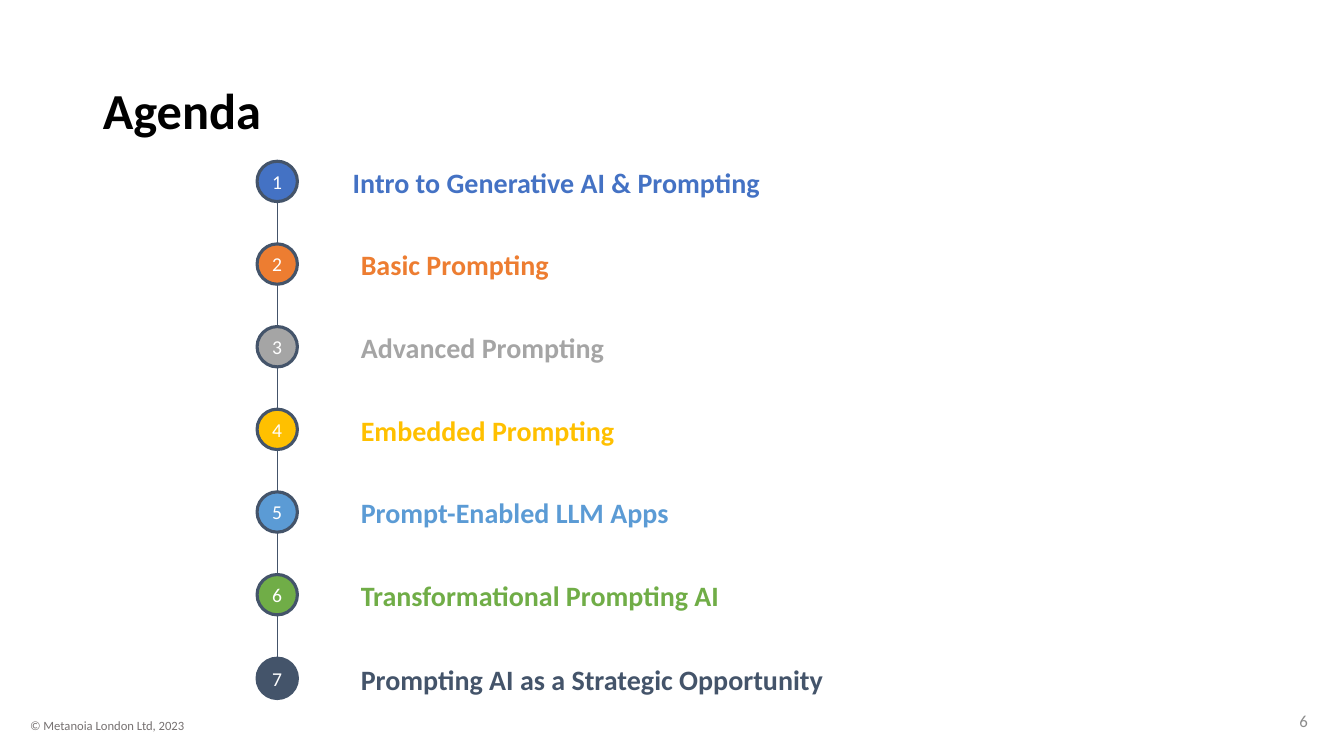
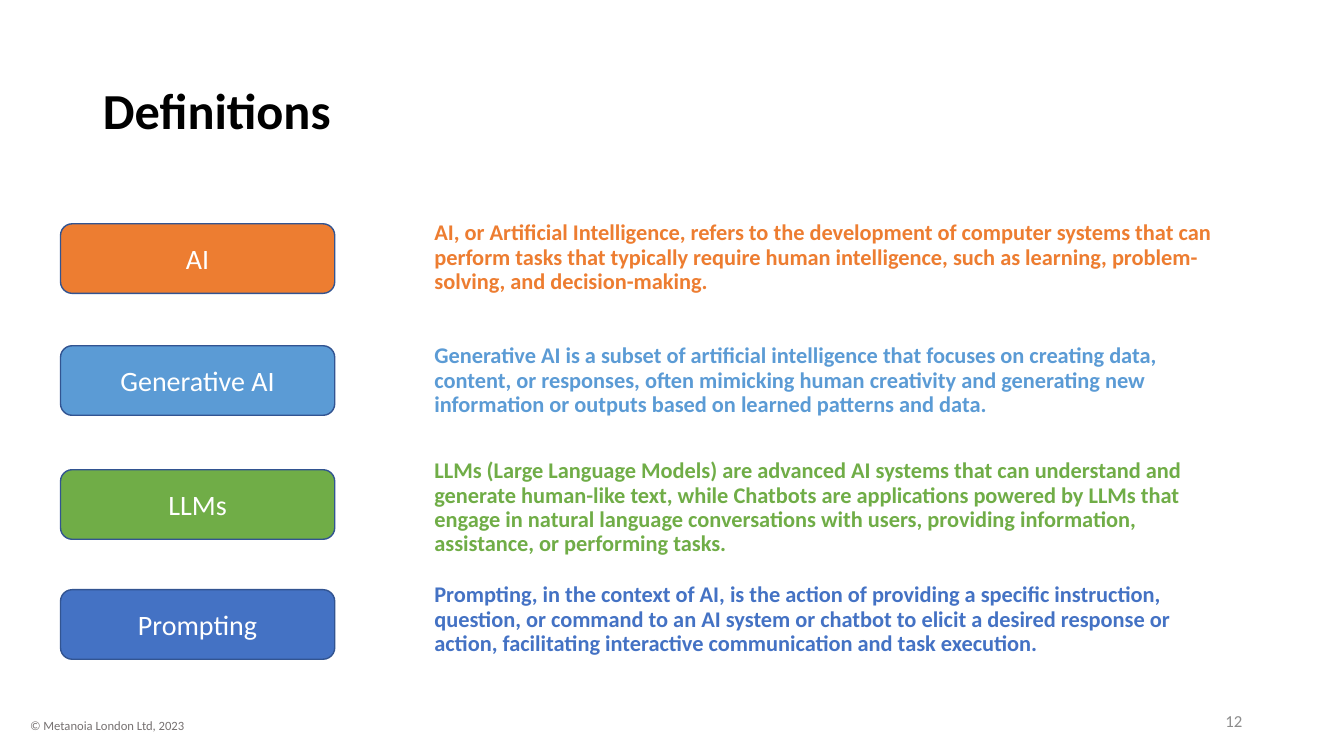
from itertools import pairwise

from lxml.etree import SubElement
from pptx import Presentation
from pptx.dml.color import RGBColor
from pptx.enum.shapes import MSO_CONNECTOR as Connector, MSO_SHAPE as Shape
from pptx.enum.text import MSO_ANCHOR as Anchor, MSO_AUTO_SIZE as Fit, PP_ALIGN as Align
from pptx.oxml.ns import qn
from pptx.util import Emu, Pt

BLACK, WHITE = "000000", "FFFFFF"
BLUE, ORANGE, GREY, GOLD = "4472C4", "ED7D31", "A5A5A5", "FFC000"
SKY, GREEN, SLATE, NAVY = "5B9BD5", "70AD47", "44546A", "325491"
FOOTER_GREY, NUMBER_GREY = "767171", "8C8C8C"

AGENDA = [
    ("Intro to Generative AI & Prompting", BLUE),
    ("Basic Prompting", ORANGE),
    ("Advanced Prompting", GREY),
    ("Embedded Prompting", GOLD),
    ("Prompt-Enabled LLM Apps", SKY),
    ("Transformational Prompting AI", GREEN),
    ("Prompting AI as a Strategic Opportunity", SLATE),
]

DEFINITIONS = [
    ("AI", ORANGE, 222, 83,
     "AI, or Artificial Intelligence, refers to the development of computer systems that "
     "can perform tasks that typically require human intelligence, such as learning, "
     "problem-solving, and decision-making."),
    ("Generative AI", SKY, 343, 80,
     "Generative AI is a subset of artificial intelligence that focuses on creating data, "
     "content, or responses, often mimicking human creativity and generating new "
     "information or outputs based on learned patterns and data."),
    ("LLMs", GREEN, 466, 98,
     "LLMs (Large Language Models) are advanced AI systems that can understand and "
     "generate human-like text, while Chatbots are applications powered by LLMs that "
     "engage in natural language conversations with users, providing information, "
     "assistance, or performing tasks."),
    ("Prompting", BLUE, 585, 91,
     "Prompting, in the context of AI, is the action of providing a specific instruction, "
     "question, or command to an AI system or chatbot to elicit a desired response or "
     "action, facilitating interactive communication and task execution."),
]


def px(length):
    return Emu(length * 9144)


def rgb(value):
    return RGBColor.from_string(value)


def apply(target, values):
    for name, value in values.items():
        setattr(target, name, value)


class Deck:
    FONT = "Calibri"
    TITLE_ONLY = 5

    def __init__(self):
        self.prs = Presentation()
        apply(self.prs, {"slide_width": px(1333), "slide_height": px(750)})
        self.slide = None

    def fill_text(self, shape, text, size, color, bold=False, frame=None, paragraph=None):
        body = shape.text_frame
        body.text = text
        apply(body, {"word_wrap": True, "auto_size": Fit.NONE} | (frame or {}))
        line = body.paragraphs[0]
        apply(line, paragraph or {})
        apply(line.font, {"name": self.FONT, "size": Pt(size), "bold": bold})
        line.font.color.rgb = rgb(color)

    def page(self, title, number, number_box):
        self.slide = self.prs.slides.add_slide(self.prs.slide_layouts[self.TITLE_ONLY])
        heading = self.slide.shapes.title
        apply(heading, {"left": px(92), "top": px(40), "width": px(1150), "height": px(145)})
        self.fill_text(heading, title, 36, BLACK, True,
                       {"vertical_anchor": Anchor.MIDDLE},
                       {"alignment": Align.LEFT, "line_spacing": 0.9})
        self.text((20, 707, 175, 25), "© Metanoia London Ltd, 2023", 9, FOOTER_GREY,
                  frame={"word_wrap": False, "auto_size": Fit.SHAPE_TO_FIT_TEXT})
        self.text(number_box, number, 12, NUMBER_GREY,
                  frame={"vertical_anchor": Anchor.MIDDLE},
                  paragraph={"alignment": Align.RIGHT})

    def text(self, box, text, size, color, **style):
        self.fill_text(self.slide.shapes.add_textbox(*map(px, box)), text, size, color, **style)

    def shape(self, kind, box, text, size, fill, outline, weight, **margins):
        shape = self.slide.shapes.add_shape(kind, *map(px, box))
        shape.shadow.inherit = False
        shape.fill.solid()
        shape.fill.fore_color.rgb = rgb(fill)
        shape.line.color.rgb = rgb(outline)
        shape.line.width = Pt(weight)
        self.fill_text(shape, text, size, WHITE,
                       frame={"vertical_anchor": Anchor.MIDDLE} | margins,
                       paragraph={"alignment": Align.CENTER})

    def line(self, start, end, color, weight):
        line = self.slide.shapes.add_connector(Connector.STRAIGHT, *map(px, start + end))
        line.line.color.rgb = rgb(color)
        line.line.width = Pt(weight)
        SubElement(line._element.spPr, qn("a:effectLst"))


def agenda(deck):
    deck.page("Agenda", "6", (1093, 695, 214, 40))
    left, first_top, size = 255, 160, 40
    tops = [first_top + round(step * 82.1) for step in range(len(AGENDA))]
    center = left + size // 2
    for upper, lower in pairwise(tops):
        deck.line((center, upper + size), (center, lower), SLATE, 0.5)
    for number, (top, (topic, color)) in enumerate(zip(tops, AGENDA), 1):
        deck.shape(Shape.OVAL, (left, top, size, size), str(number), 14, color, SLATE, 2.25,
                   word_wrap=False, margin_left=0, margin_right=0,
                   margin_top=0, margin_bottom=0)
        topic_left = 340 if number == 1 else 348
        deck.text((topic_left, top - 11, 519, 51), topic, 20, color, bold=True,
                  frame={"auto_size": Fit.SHAPE_TO_FIT_TEXT},
                  paragraph={"line_spacing": 1.3})


def definitions(deck):
    deck.page("Definitions", "12", (942, 695, 300, 40))
    term_height = 69
    for term, color, top, height, meaning in DEFINITIONS:
        deck.shape(Shape.ROUNDED_RECTANGLE, (60, top, 272, term_height),
                   term, 20, color, NAVY, 1)
        meaning_top = top + (term_height - height) // 2
        deck.text((421, meaning_top, 791, height), meaning, 16, color, bold=True,
                  paragraph={"line_spacing": 0.9, "space_after": Pt(6)})


def main():
    deck = Deck()
    agenda(deck)
    definitions(deck)
    deck.prs.save("out.pptx")


if __name__ == "__main__":
    main()
